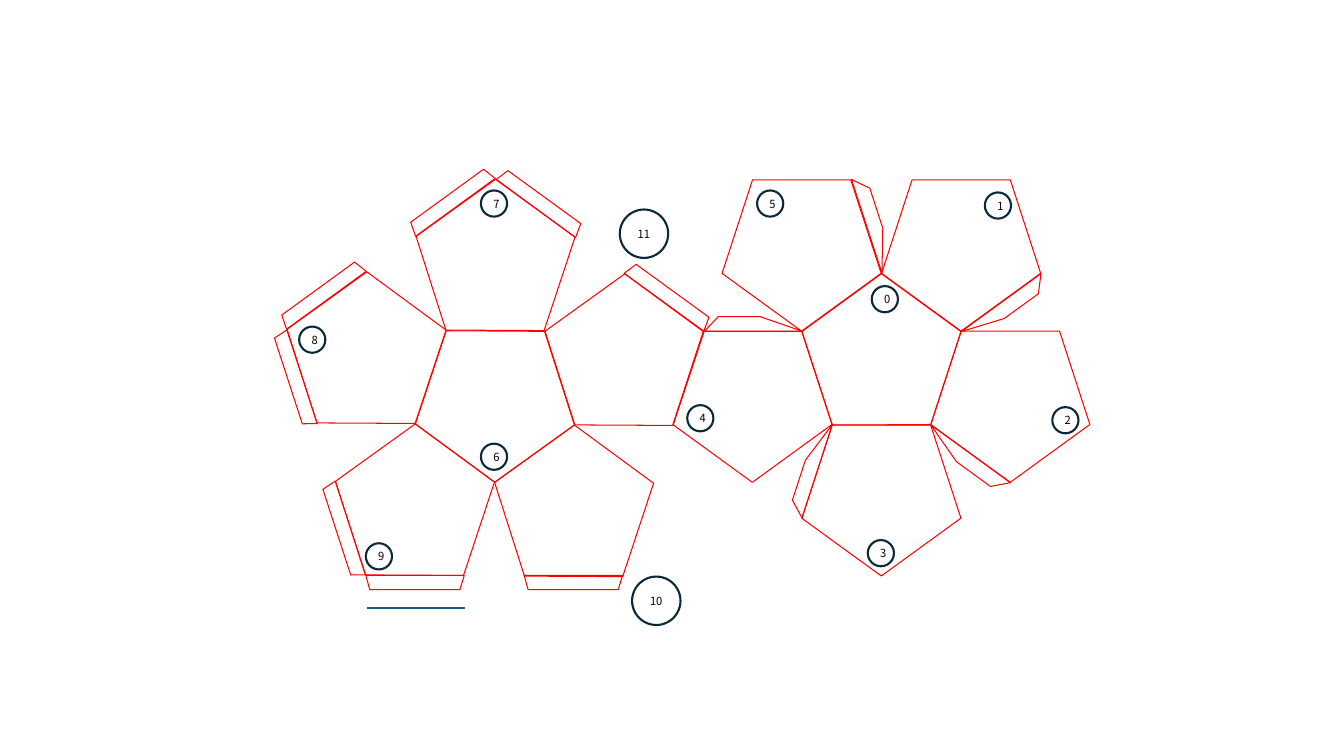
from lxml import etree
from pptx import Presentation
from pptx.dml.color import RGBColor
from pptx.enum.shapes import MSO_CONNECTOR, MSO_SHAPE
from pptx.enum.text import MSO_ANCHOR, PP_ALIGN
from pptx.oxml.ns import qn
from pptx.util import Cm, Pt

PENTAGON = MSO_SHAPE.REGULAR_PENTAGON
OVAL = MSO_SHAPE.OVAL
STRAIGHT = MSO_CONNECTOR.STRAIGHT
MIDDLE = MSO_ANCHOR.MIDDLE
CENTER = PP_ALIGN.CENTER

COLORS = {"cut": "FF0000", "badge": "092A39", "mark": "156082", "text": "000000"}
FONT = "Noto Sans CJK JP"
FACE_WIDTH, FACE_HEIGHT = 4.01, 3.81
SMALL_BADGE, LARGE_BADGE = 0.66, 1.22

FACES = [
    (20.09, 10.34, 324), (20.4, 7.04, 72), (22.1, 4.17, 324),
    (18.08, 4.17, 324), (23.34, 7.98, 324), (16.84, 7.98, 324),
    (12.27, 10.85, 288.3), (10.59, 7.98, 36.3), (10.29, 4.65, 288.3),
    (7.04, 6.99, 288.3), (13.54, 7.04, 288.3), (8.26, 10.82, 288.3),
]

WIDE_FLAP = [(0.1, 0.36), (2.37, 0.36), (2.48, 0), (0, 0)]
NARROW_FLAP = [(1.07, 0.37), (2.13, 0.37), (2.48, 0), (0, 0)]
WIDE_FLAPS = [
    (9.22, 14.5, 0), (13.21, 14.5, 0), (6.2, 9.37, 72), (7.42, 13.18, 72),
    (10.13, 4.9, 144), (6.88, 7.24, 144), (15.6, 7.29, 216), (12.37, 4.93, 216),
]
NARROW_FLAPS = [
    (20.78, 5.46, 252), (19.18, 11.63, 108), (23.11, 11.4, 36),
    (24.1, 7.59, 324), (17.75, 7.98, 180),
]

BADGES = [
    (21.97, 7.21), (24.82, 4.85), (26.52, 10.26), (21.87, 13.61),
    (17.32, 10.21), (19.08, 4.8), (12.12, 11.18), (12.12, 4.8),
    (7.54, 8.23), (9.22, 13.69), (15.93, 14.53), (15.62, 5.28),
]


def outline(shape, color, width):
    """Leave the shape unfilled, with a plain outline."""
    shape.shadow.inherit = False
    shape.fill.background()
    shape.line.color.rgb = RGBColor.from_string(COLORS[color])
    shape.line.width = Pt(width)


def add_face(shapes, left, top, rotation):
    """Add one pentagonal face of the net."""
    face = shapes.add_shape(PENTAGON, Cm(left), Cm(top), Cm(FACE_WIDTH), Cm(FACE_HEIGHT))
    face.rotation = rotation
    outline(face, "cut", 0.75)


def add_flap(shapes, profile, left, top, rotation):
    """Add one glue flap, turned to lie along its face edge."""
    start, *others = [(Cm(x), Cm(y)) for x, y in profile]
    builder = shapes.build_freeform(*start)
    builder.add_line_segments(others, close=True)
    flap = builder.convert_to_shape(Cm(left), Cm(top))
    flap.rotation = rotation
    outline(flap, "cut", 0.75)


def add_badge(shapes, number, left, top):
    """Add the circled number of a face."""
    size = Cm(SMALL_BADGE if number < 10 else LARGE_BADGE)
    badge = shapes.add_shape(OVAL, Cm(left), Cm(top), size, size)
    outline(badge, "badge", 1.5)
    frame = badge.text_frame
    frame.text = str(number)
    frame.vertical_anchor = MIDDLE
    label = frame.paragraphs[0]
    label.alignment = CENTER
    font = label.runs[0].font
    font.name = FONT
    font.size = Pt(8)
    font.color.rgb = RGBColor.from_string(COLORS["text"])


def add_edge_mark(shapes, left, right, y):
    """Add the horizontal line that marks the edge length."""
    mark = shapes.add_connector(STRAIGHT, Cm(left), Cm(y), Cm(right), Cm(y))
    mark.line.color.rgb = RGBColor.from_string(COLORS["mark"])
    mark.line.width = Pt(1.5)
    etree.SubElement(mark._element.spPr, qn("a:effectLst"))


def main():
    """Build the slide with the dodecahedron net."""
    deck = Presentation()
    deck.slide_width, deck.slide_height = Cm(33.87), Cm(19.05)
    slide = deck.slides.add_slide(deck.slide_layouts[6])
    net = slide.shapes.add_group_shape().shapes
    for face in FACES:
        add_face(net, *face)
    for profile, flaps in ((WIDE_FLAP, WIDE_FLAPS), (NARROW_FLAP, NARROW_FLAPS)):
        for flap in flaps:
            add_flap(net, profile, *flap)
    add_edge_mark(slide.shapes, 9.25, 11.71, 15.32)
    for number, (left, top) in enumerate(BADGES):
        add_badge(slide.shapes, number, left, top)
    deck.save("out.pptx")


if __name__ == "__main__":
    main()
